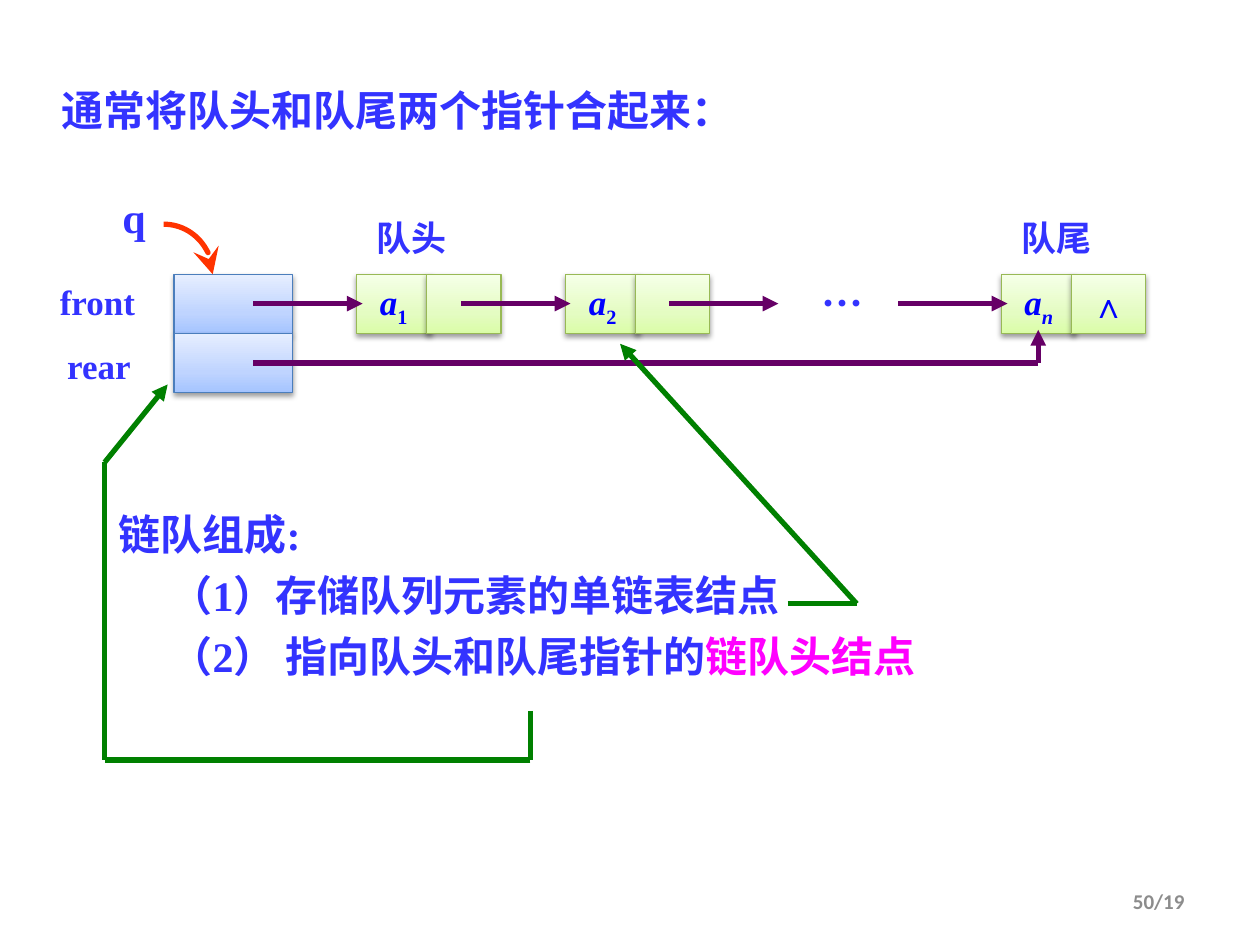
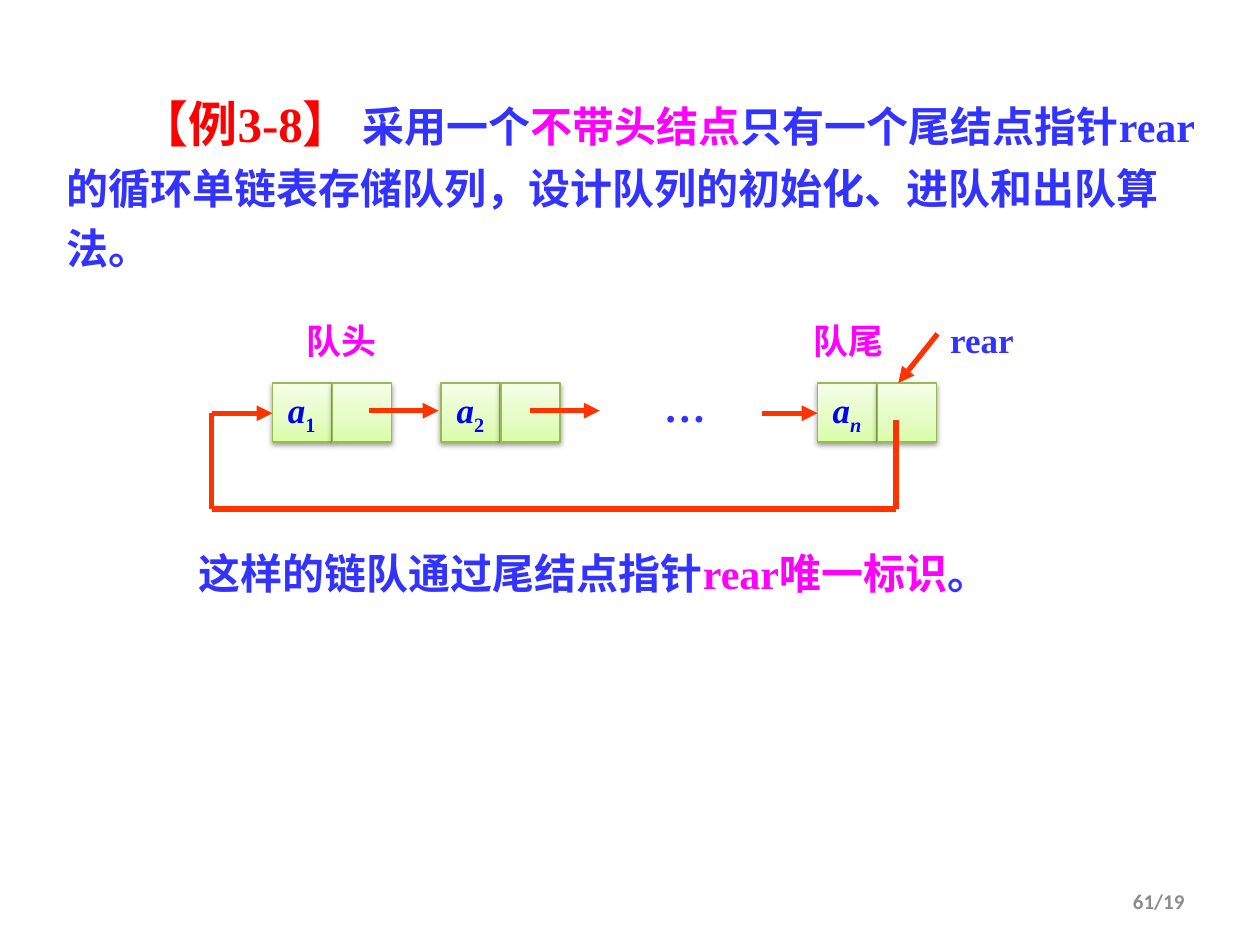
from itertools import pairwise

from lxml.etree import SubElement
from pptx import Presentation
from pptx.dml.color import RGBColor
from pptx.enum.shapes import MSO_CONNECTOR, MSO_SHAPE
from pptx.enum.text import MSO_ANCHOR, MSO_AUTO_SIZE, PP_ALIGN
from pptx.oxml.ns import qn
from pptx.util import Cm, Pt

SERIF = "Times New Roman"
HAN = "Noto Sans CJK SC"
INK = "3333FF"
MAGENTA = "FF00FF"
RED = "FF0000"
ORANGE = "FF3300"
PURPLE = "660066"
GREEN = "008000"
GRAY = "8C8C8C"
VALUE_BLUE = "0000FF"
LEAF = ("98B955", (("DAFDA7", 0), ("E4FCC2", 35), ("F5FFE7", 100)))
SKY = ("4B7EBC", (("A4C4FF", 0), ("BFD4FF", 35), ("E6EEFF", 100)))
CELL_HEIGHT = 1.19


def rgb(value):
    return RGBColor.from_string(value)


def add_run(paragraph, text, size=24, color=INK, font=SERIF, italic=False, baseline=0):
    run = paragraph.add_run()
    run.text = text
    run.font.size = Pt(size)
    run.font.bold = True
    run.font.italic = italic
    run.font.name = font
    run.font.color.rgb = rgb(color)
    properties = run.font._element
    SubElement(properties, qn("a:ea"), typeface=HAN)
    if baseline:
        properties.set("baseline", str(baseline * 1000))


class QueueDeck:
    def __init__(self):
        self.deck = Presentation()
        self.deck.slide_width = Cm(25.4)
        self.deck.slide_height = Cm(19.05)

    def new_slide(self, number):
        self.slide = self.deck.slides.add_slide(self.deck.slide_layouts[6])
        footer = self.text(18.21, 17.65, 5.92, 1.02, [[(number, {})]], align=PP_ALIGN.RIGHT,
                           size=12, font="Calibri", color=GRAY)
        footer.auto_size = MSO_AUTO_SIZE.NONE
        footer.vertical_anchor = MSO_ANCHOR.MIDDLE

    def text(self, left, top, width, height, paragraphs, align=PP_ALIGN.LEFT,
             indents=(0,), line_spacing=None, **style):
        box = self.slide.shapes.add_textbox(Cm(left), Cm(top), Cm(width), Cm(height))
        frame = box.text_frame
        frame.word_wrap = True
        frame.auto_size = MSO_AUTO_SIZE.SHAPE_TO_FIT_TEXT
        for index, (runs, indent) in enumerate(zip(paragraphs, indents)):
            paragraph = frame.add_paragraph() if index else frame.paragraphs[0]
            paragraph.alignment = align
            paragraph.line_spacing = line_spacing
            paragraph.space_before = Pt(6 if index else 0)
            paragraph._p.get_or_add_pPr().set("indent", str(Cm(indent)))
            for words, changes in runs:
                add_run(paragraph, words, **{**style, **changes})
        return frame

    def label(self, left, top, width, words, size=20, **style):
        self.text(left, top, width, 1.1, [[(words, {})]], align=PP_ALIGN.CENTER,
                  size=size, **style)

    def cell(self, left, top, width, scheme, value="", subscript=""):
        outline, stops = scheme
        cell = self.slide.shapes.add_shape(MSO_SHAPE.RECTANGLE, Cm(left), Cm(top),
                                           Cm(width), Cm(CELL_HEIGHT))
        cell.fill.gradient()
        cell.fill.gradient_angle = 90
        stop_list = cell.element.spPr.find(".//" + qn("a:gsLst"))
        stop_list.clear()
        for color, position in stops:
            stop = SubElement(stop_list, qn("a:gs"), pos=str(position * 1000))
            SubElement(stop, qn("a:srgbClr"), val=color)
        cell.line.color.rgb = rgb(outline)
        cell.line.width = Pt(0.75)
        cell.shadow.inherit = False
        effects = cell.element.spPr.find(qn("a:effectLst"))
        shadow = SubElement(effects, qn("a:outerShdw"), blurRad=str(Pt(3.1)),
                            dist=str(Pt(1.6)), dir="5400000", rotWithShape="0")
        black = SubElement(shadow, qn("a:srgbClr"), val="000000")
        SubElement(black, qn("a:alpha"), val="38000")
        if value:
            frame = cell.text_frame
            frame.word_wrap = False
            frame.vertical_anchor = MSO_ANCHOR.MIDDLE
            paragraph = frame.paragraphs[0]
            paragraph.alignment = PP_ALIGN.CENTER
            add_run(paragraph, value, size=20, color=VALUE_BLUE, italic=value == "a")
            if subscript:
                add_run(paragraph, subscript, size=20, color=VALUE_BLUE,
                        italic=subscript == "n", baseline=-25)

    def node(self, left, top, width, pitch, subscript, link=""):
        self.cell(left, top, width, LEAF, "a", subscript)
        self.cell(left + pitch, top, width, LEAF, link)

    def stroke(self, line, color, head=None, head_size="med"):
        line.line.color.rgb = rgb(color)
        line.line.width = Pt(3)
        if head:
            SubElement(line.element.spPr.find(qn("a:ln")), qn("a:tailEnd"),
                       type=head, w=head_size, len=head_size)

    def arrow(self, color, *points):
        segments = list(pairwise(points))
        for index, (start, end) in enumerate(segments, 1):
            line = self.slide.shapes.add_connector(
                MSO_CONNECTOR.STRAIGHT, *(Cm(value) for value in start + end))
            self.stroke(line, color, "triangle" if index == len(segments) else None)
            SubElement(line.element.spPr, qn("a:effectLst"))

    def curved_arrow(self, left, top, width, height, color):
        arc = self.slide.shapes.add_shape(MSO_SHAPE.ARC, Cm(left), Cm(top),
                                          Cm(width), Cm(height))
        arc.shadow.inherit = False
        arc.fill.background()
        self.stroke(arc, color, "stealth", "lg")


def linked_queue(deck):
    deck.new_slide("50/19")
    deck.text(0.99, 1.57, 14.68, 1.27, [[("通常将队头和队尾两个指针合起来：", {})]], font=HAN)

    top = 5.54
    deck.cell(3.51, top, 2.39, SKY)
    deck.cell(3.51, top + CELL_HEIGHT, 2.39, SKY)
    for left, subscript, link in ((7.19, "1", ""), (11.4, "2", ""), (20.19, "n", "∧")):
        deck.node(left, top, 1.5, 1.41, subscript, link)
    for start in (5.11, 9.3, 13.49, 18.11):
        deck.arrow(PURPLE, (start, 6.12), (start + 2.2, 6.12))
    deck.arrow(PURPLE, (5.11, 7.32), (20.93, 7.32), (20.93, 6.65))
    deck.curved_arrow(2.31, 4.52, 1.98, 2.02, ORANGE)

    deck.label(15.77, 5.46, 2.41, "…", size=24, font=HAN)
    deck.label(2.11, 3.73, 1.19, "q", size=24)
    deck.label(0.86, top, 2.21, "front")
    deck.label(0.89, 6.83, 2.21, "rear")
    for left, words in ((6.91, "队头"), (19.91, "队尾")):
        deck.label(left, 4.24, 2.79, words, font=HAN)

    deck.text(1.5, 10.13, 22.23, 4.37, [
        [("链队组成:", {})],
        [("（1）存储队列元素的单链表结点", {})],
        [("（2） 指向队头和队尾指针的", {}), ("链队头结点", {"color": MAGENTA})],
    ], indents=(0.64, 1.69, 1.69))
    deck.arrow(GREEN, (15.88, 12.17), (17.27, 12.17), (12.5, 6.93))
    deck.arrow(GREEN, (10.69, 14.33), (10.69, 15.32), (2.11, 15.32), (2.11, 9.32),
               (3.38, 7.75))


def circular_queue(deck):
    deck.new_slide("61/19")
    deck.text(1.09, 1.52, 23.32, 4.14, [[
        ("【例3-8】 ", {"size": 28, "color": RED}),
        ("采用一个", {}),
        ("不带头结点", {"color": MAGENTA}),
        ("只有一个尾结点指针rear的循环单链表存储队列，设计队列的初始化、进队和出队算法。", {}),
    ]], indents=(1.48,), line_spacing=1.2)

    for left, subscript in ((5.49, "1"), (8.89, "2"), (16.48, "n")):
        deck.node(left, 7.72, CELL_HEIGHT, 1.21, subscript)
    for start, end, level in ((7.44, 8.84, 8.28), (10.69, 12.09, 8.28), (15.37, 16.48, 8.33)):
        deck.arrow(ORANGE, (start, level), (end, level))
    deck.arrow(ORANGE, (18.06, 8.46), (18.06, 10.26), (4.27, 10.26), (4.27, 8.33),
               (5.49, 8.33))
    deck.arrow(ORANGE, (18.9, 6.73), (18.11, 7.72))

    deck.label(12.7, 7.54, 2.21, "…", size=24)
    deck.label(18.69, 6.3, 2.21, "rear")
    for left, words in ((5.69, "队头"), (15.9, "队尾")):
        deck.label(left, 6.32, 2.41, words, color=MAGENTA)
    deck.text(2.97, 10.92, 18.01, 1.27, [[
        ("这样的链队通过尾结点指针", {}),
        ("rear唯一标识", {"color": MAGENTA}),
        ("。", {}),
    ]], align=PP_ALIGN.CENTER)


def main():
    deck = QueueDeck()
    linked_queue(deck)
    circular_queue(deck)
    deck.deck.save("out.pptx")


if __name__ == "__main__":
    main()
